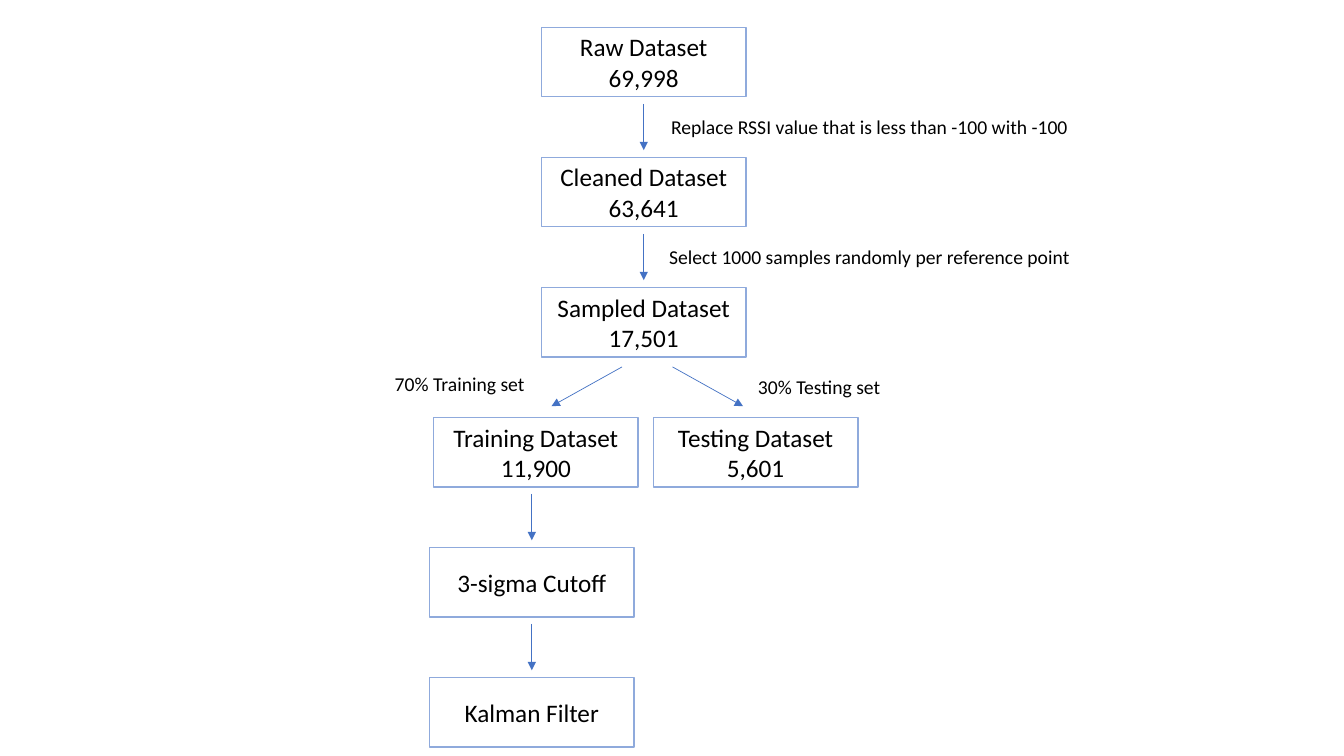
from lxml.etree import SubElement
from pptx import Presentation
from pptx.dml.color import RGBColor
from pptx.enum.shapes import MSO_CONNECTOR, MSO_SHAPE
from pptx.enum.text import MSO_ANCHOR, MSO_AUTO_SIZE, PP_ALIGN
from pptx.oxml.ns import qn
from pptx.util import Inches, Pt

BOX_WIDTH, BOX_HEIGHT = 2.03, 0.69
ROW_TOP, ROW_STEP = 0.27, 1.29
ARROW_GAP, ARROW_LENGTH = 0.07, 0.46


def color(value):
    return RGBColor.from_string(value)


def row_top(row):
    return ROW_TOP + row * ROW_STEP


def write(frame, text, size):
    frame.text = text
    for para in frame.paragraphs:
        para.alignment = PP_ALIGN.CENTER
        for span in para.runs:
            span.font.name = "Calibri"
            span.font.size = Pt(size)
            span.font.color.rgb = color("000000")


def add_step(page, left, row, text):
    box = page.shapes.add_shape(
        MSO_SHAPE.RECTANGLE, Inches(left), Inches(row_top(row)),
        Inches(BOX_WIDTH), Inches(BOX_HEIGHT))
    box.shadow.inherit = False
    box.fill.background()
    box.line.color.rgb = color("8FAADC")
    box.line.width = Pt(1)
    box.text_frame.vertical_anchor = MSO_ANCHOR.MIDDLE
    write(box.text_frame, text, 18)


def add_label(page, left, top, width, text):
    label = page.shapes.add_textbox(
        Inches(left), Inches(top), Inches(width), Inches(0.34))
    label.text_frame.word_wrap = False
    label.text_frame.auto_size = MSO_AUTO_SIZE.SHAPE_TO_FIT_TEXT
    write(label.text_frame, text, 14)


def add_arrow(page, start, end):
    arrow = page.shapes.add_connector(
        MSO_CONNECTOR.STRAIGHT, *map(Inches, start + end))
    arrow.line.color.rgb = color("4472C4")
    arrow.line.width = Pt(0.5)
    SubElement(arrow.line._get_or_add_ln(), qn("a:tailEnd"), type="triangle")
    SubElement(arrow._element.spPr, qn("a:effectLst"))


def add_down_arrow(page, center, row):
    top = row_top(row) + BOX_HEIGHT + ARROW_GAP
    add_arrow(page, (center, top), (center, top + ARROW_LENGTH))


def add_preparation(page, left):
    """Raw data down to the sampled set."""
    steps = ["Raw Dataset\n69,998", "Cleaned Dataset\n63,641",
             "Sampled Dataset\n17,501"]
    for row, text in enumerate(steps):
        add_step(page, left, row, text)
    for row in range(2):
        add_down_arrow(page, left + BOX_WIDTH / 2, row)
    add_label(page, left + 1.12, 1.09, 4.27,
              "Replace RSSI value that is less than -100 with -100")
    add_label(page, left + 1.15, 2.38, 4.21,
              "Select 1000 samples randomly per reference point")


def add_split(page, center):
    """Training and testing branches."""
    add_step(page, center - 2.12, 3, "Training Dataset\n11,900")
    add_step(page, center + 0.06, 3, "Testing Dataset\n5,601")
    for side in (-1, 1):
        add_arrow(page, (center + side * 0.25, 3.64),
                  (center + side * 0.95, 4.03))
    add_label(page, center - 2.61, 3.64, 1.5, "70% Training set")
    add_label(page, center + 0.99, 3.67, 1.43, "30% Testing set")


def add_filtering(page, left):
    """Filters applied to the training set."""
    for row, text in enumerate(["3-sigma Cutoff", "Kalman Filter"], start=4):
        add_down_arrow(page, left + BOX_WIDTH / 2, row - 1)
        add_step(page, left, row, text)


deck = Presentation()
deck.slide_width, deck.slide_height = Inches(13.33), Inches(7.5)
page = deck.slides.add_slide(deck.slide_layouts[6])
add_preparation(page, 5.37)
add_split(page, 6.42)
add_filtering(page, 4.26)
deck.save("out.pptx")
